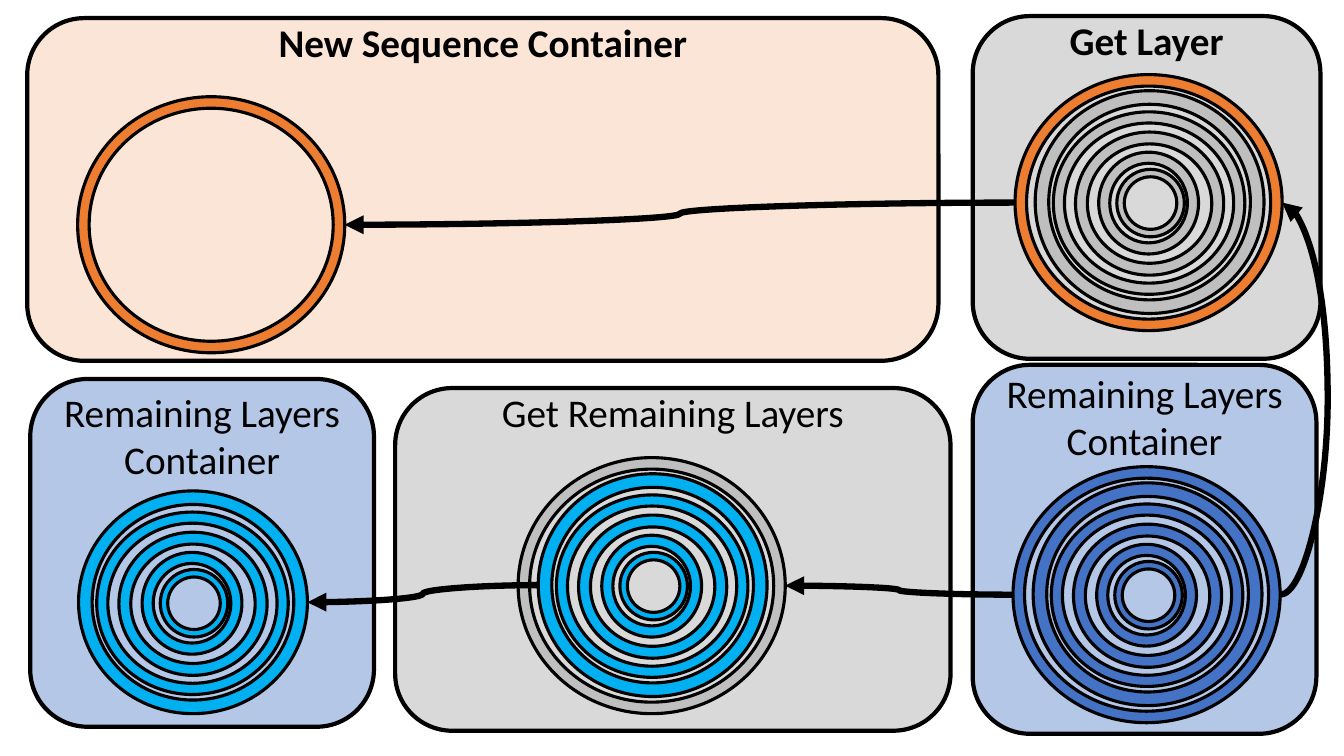
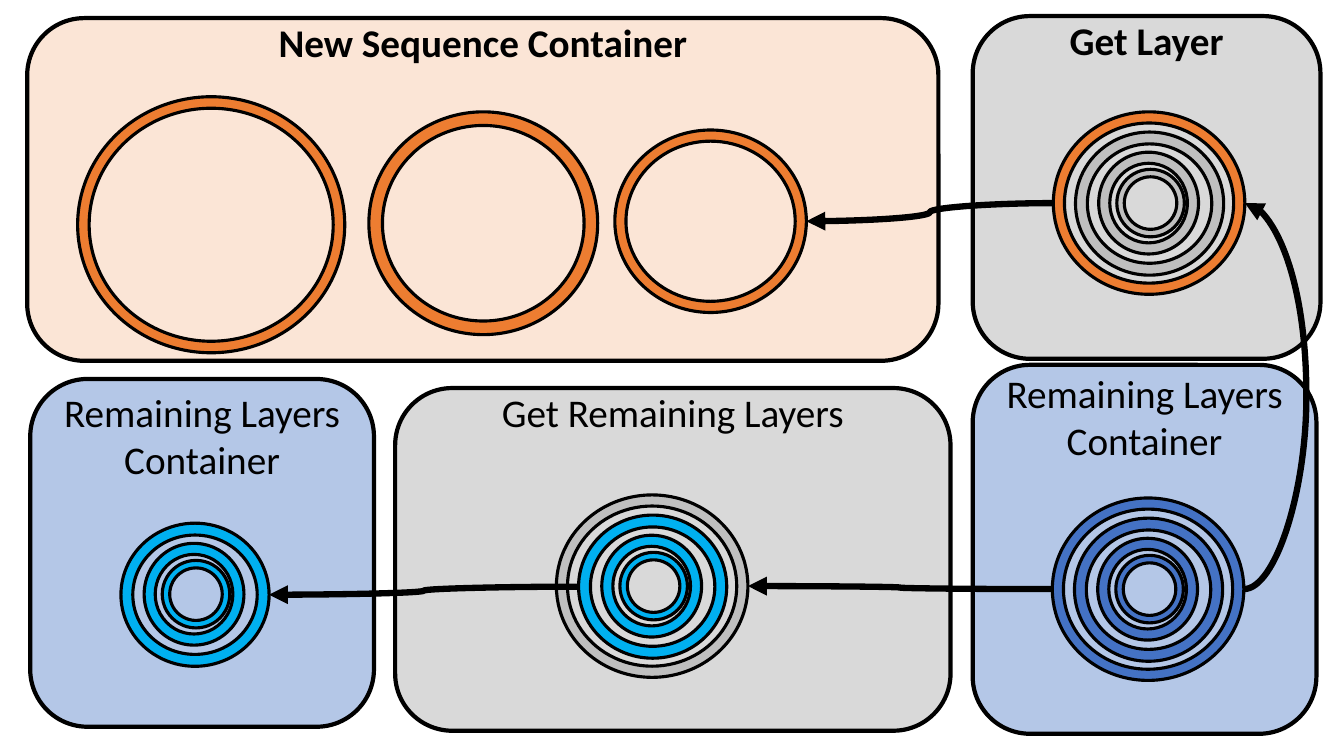
from dataclasses import dataclass

from lxml.etree import SubElement as Sub
from pptx import Presentation
from pptx.dml.color import RGBColor as Rgb
from pptx.enum.shapes import MSO_CONNECTOR as Conn, MSO_SHAPE as Kind
from pptx.enum.text import MSO_ANCHOR as Anchor, PP_ALIGN as Align
from pptx.oxml.ns import qn
from pptx.slide import Slide
from pptx.util import Emu, Inches, Pt

# Grid: 40 columns by 22.5 rows of square cells
COLS, ROWS = 40, 22.5
CELL = Inches(1) / 3

BLACK, GREY, SILVER = "000000", "D9D9D9", "BFBFBF"
PEACH, ORANGE = "FBE5D6", "ED7D31"
PALE, BLUE, CYAN = "B4C7E7", "4472C4", "00B0F0"


@dataclass(frozen=True)
class Panel:
    x: float
    y: float
    wide: float
    high: float
    fill: str
    text: tuple[str, ...]
    bold: bool = False
    drop: float = 0  # caption distance below the top edge


@dataclass(frozen=True)
class Ring:
    x: float  # offset from the corner of the full stack
    y: float
    wide: float
    high: float
    thick: float


@dataclass(frozen=True)
class Stack:
    x: float
    y: float
    first: int  # outermost ring that is drawn
    skin: str
    core: str = ""  # no core: only the outer ring

    def side(self, level: int, right: bool) -> tuple[float, float]:
        ring = RINGS[level]
        x = self.x + ring.x + (ring.wide if right else 0)
        return x, self.y + ring.y + ring.high / 2


PANELS = (
    Panel(11.76, 11.55, 16.53, 10.2, GREY, ("Get Remaining Layers",)),
    Panel(28.95, 0.48, 10.35, 10.2, GREY, ("Get Layer",), True),
    Panel(28.95, 10.86, 10.23, 10.98, PALE,
          ("Remaining Layers Container",), drop=0.12),
    Panel(0.81, 0.54, 27.12, 10.2, PEACH, ("New Sequence Container",), True),
    Panel(0.9, 11.28, 10.23, 10.35, PALE,
          ("Remaining Layers", "Container"), drop=0.27),
)

RINGS = (
    Ring(0, 0, 7.95, 7.62, 0.045),
    Ring(0.6, 0.48, 6.81, 6.63, 0.061),
    Ring(1.14, 1.11, 5.7, 5.43, 0.061),
    Ring(1.8, 1.71, 4.41, 4.26, 0.083),
    Ring(2.49, 2.31, 2.97, 3.03, 0.111),
    Ring(3.03, 2.82, 2.01, 2.01, 0.111),
)

# Rings already taken, outermost first
TAKEN = tuple(
    Stack(x, y, level, ORANGE)
    for level, (x, y) in enumerate(((2.31, 2.88), (10.38, 2.85), (17.16, 2.76)))
)


@dataclass(frozen=True)
class Step:
    first: int  # layer taken in this step
    left: tuple[float, float]
    right: tuple[float, float]
    bulge: float


STEPS = (
    Step(0, (1.74, 14.13), (30.15, 13.89), 1.41),
    Step(2, (1.8, 13.86), (30.18, 13.71), 1.89),
)


def cells(*sizes: float) -> list[Emu]:
    return [Emu(round(size * CELL)) for size in sizes]


def color(code: str) -> Rgb:
    return Rgb.from_string(code)


def draw(slide: Slide, kind: Kind, part: Panel | Ring, fill: str,
         line: float, x: float = 0, y: float = 0):
    shape = slide.shapes.add_shape(
        kind, *cells(x + part.x, y + part.y, part.wide, part.high))
    shape.shadow.inherit = False
    shape.fill.solid()
    shape.fill.fore_color.rgb = color(fill)
    shape.line.color.rgb = color(BLACK)
    shape.line.width = Pt(line)
    return shape


def panel(slide: Slide, item: Panel) -> None:
    draw(slide, Kind.ROUNDED_RECTANGLE, item, item.fill, 3)
    box = slide.shapes.add_textbox(
        *cells(item.x, item.y + item.drop, item.wide, 1.4 * len(item.text)))
    frame = box.text_frame
    frame.word_wrap = True
    frame.vertical_anchor = Anchor.TOP
    frame.margin_top = frame.margin_bottom = 0
    frame.text = "\n".join(item.text)
    for para in frame.paragraphs:
        para.alignment = Align.CENTER
        font = para.font
        font.name, font.size, font.bold = "Calibri", Pt(28), item.bold
        font.color.rgb = color(BLACK)


def stack(slide: Slide, item: Stack) -> None:
    last = len(RINGS) if item.core else item.first + 1
    for level in range(item.first, last):
        fill = item.skin if level == item.first else item.core
        ring = RINGS[level]
        donut = draw(slide, Kind.DONUT, ring, fill, 2.25, item.x, item.y)
        donut.adjustments[0] = ring.thick


def arrow(slide: Slide, start: tuple[float, float],
          end: tuple[float, float], bulge: float = 0) -> None:
    link = slide.shapes.add_connector(Conn.CURVE, *cells(*start, *end))
    link.line.color.rgb = color(BLACK)
    link.line.width = Pt(4.5)
    prop = link._element.spPr
    Sub(prop.find(qn("a:ln")), qn("a:tailEnd"), type="triangle")
    Sub(prop, qn("a:effectLst"))
    if bulge:
        bend = round(bulge / (end[0] - start[0]) * 100000)
        geom = prop.find(qn("a:prstGeom"))
        guides = geom.find(qn("a:avLst"))
        if guides is None:
            guides = Sub(geom, qn("a:avLst"))
        Sub(guides, qn("a:gd"), name="adj1", fmla=f"val {bend}")


def scene(slide: Slide, step: Step) -> None:
    now, then = step.first, step.first + 1
    source = Stack(*step.right, now, BLUE, BLUE)
    get = Stack(30.21, 2.22, now, ORANGE, SILVER)
    rest = Stack(15.42, 13.62, now, SILVER, CYAN)
    left = Stack(*step.left, then, CYAN, CYAN)

    # Panels and ring stacks
    for item in PANELS:
        panel(slide, item)
    for item in (source, get, rest, left, *TAKEN[:then]):
        stack(slide, item)

    # Flow between the stacks
    arrow(slide, source.side(now, True), get.side(now, True), step.bulge)
    arrow(slide, source.side(now, False), rest.side(now, True))
    arrow(slide, get.side(now, False), TAKEN[now].side(now, True))
    arrow(slide, rest.side(then, False), left.side(then, True))


deck = Presentation()
deck.slide_width, deck.slide_height = cells(COLS, ROWS)
for step in STEPS:
    scene(deck.slides.add_slide(deck.slide_layouts[6]), step)
deck.save("out.pptx")
